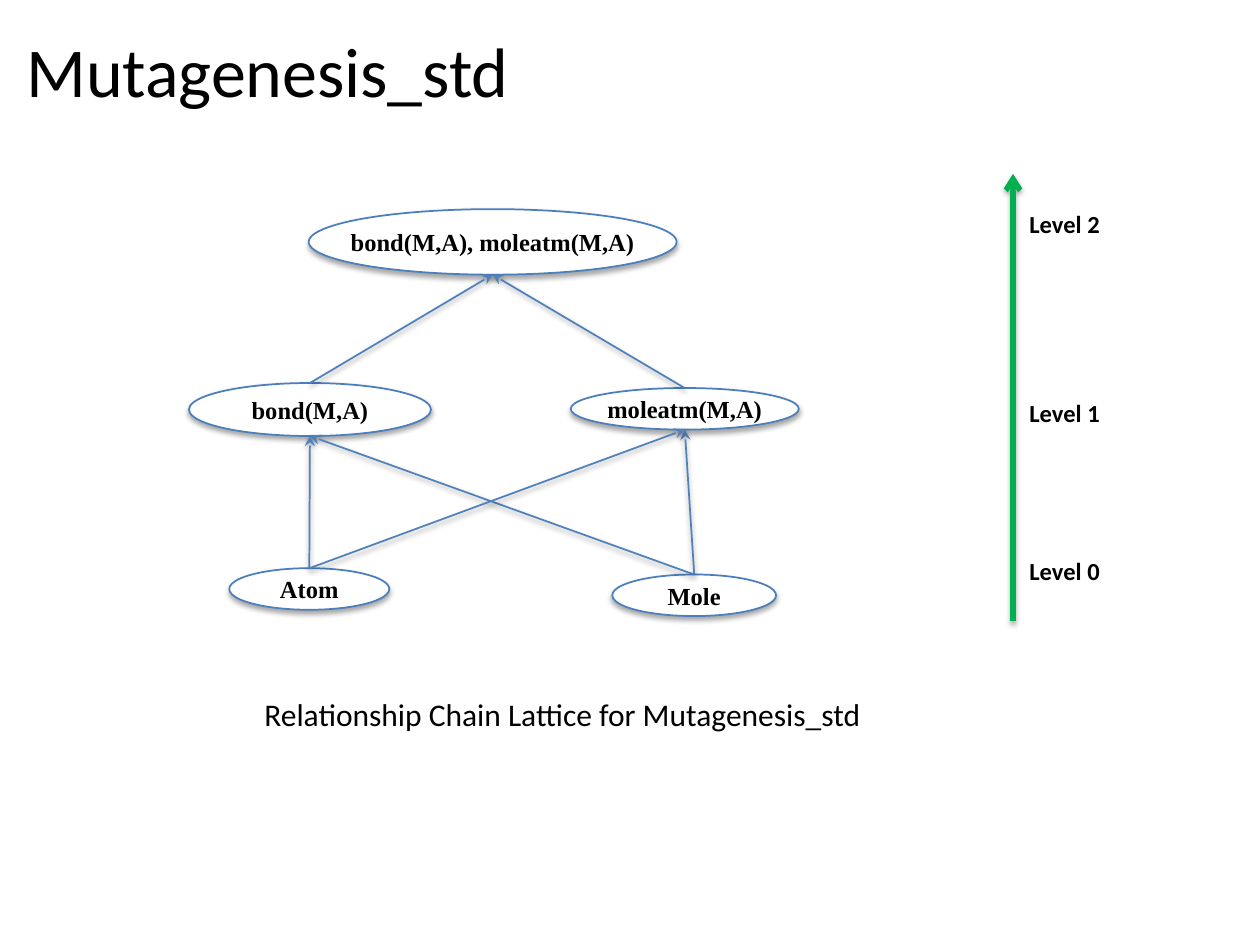
from pptx import Presentation, util as u
from pptx.dml.color import RGBColor
from pptx.enum import shapes, text
from pptx.oxml import parse_xml
from pptx.oxml.ns import nsdecls, qn

BLACK = RGBColor(0x00, 0x00, 0x00)
WHITE = RGBColor(0xFF, 0xFF, 0xFF)
OUTLINE = RGBColor(0x4B, 0x7E, 0xBC)
BLUE = RGBColor(0x4F, 0x81, 0xBD)
GREEN = RGBColor(0x00, 0xB0, 0x50)
SANS, SERIF = "Calibri", "Times New Roman"
COLS, ROWS = 100, 75

# name: (label, left, top, width, height) in grid cells
NODES = {
    "mole": ("Mole", 48.6, 45.6, 13, 3.3),
    "atom": ("Atom", 18.2, 45.1, 12.7, 3.3),
    "bond": ("bond(M,A)", 15, 30.4, 19.2, 4.2),
    "moleatm": ("moleatm(M,A)", 45.3, 30.8, 18.1, 3.3),
    "both": ("bond(M,A), moleatm(M,A)", 24.5, 16.6, 29.2, 5.2),
}
EDGES = [("mole", "bond"), ("atom", "bond"), ("mole", "moleatm"),
         ("bond", "both"), ("moleatm", "both"), ("atom", "moleatm")]
LEVEL_ROWS = [44.1, 31.6, 16.6]


def write(tf, content, size=14, font=SANS, bold=False, align=None, inset=None,
          anchor=text.MSO_ANCHOR.TOP, wrap=True):
    tf.word_wrap = wrap
    tf.vertical_anchor = anchor
    if inset is not None:
        tf.margin_left = tf.margin_right = tf.margin_top = tf.margin_bottom = inset
    p = tf.paragraphs[0]
    p.alignment = align
    r = p.add_run()
    r.text = content
    r.font.name, r.font.size, r.font.bold = font, u.Pt(size), bold
    r.font.color.rgb = BLACK


class Lattice:
    """Draws on one slide; lengths are cells of a COLS by ROWS grid."""

    def __init__(self, prs):
        self.s = prs.slides.add_slide(prs.slide_layouts[6])
        self.col = prs.slide_width / COLS
        self.row = prs.slide_height / ROWS

    def cells(self, x, y):
        return round(x * self.col), round(y * self.row)

    def shadow(self, sp, alpha=35, dist=1.8):
        """Add a soft shadow straight below; call after the line is set."""
        sp._element.spPr.append(parse_xml(
            f'<a:effectLst {nsdecls("a")}><a:outerShdw blurRad="{u.Pt(3.1)}" '
            f'dist="{u.Pt(dist)}" dir="5400000" rotWithShape="0">'
            f'<a:srgbClr val="{BLACK}"><a:alpha val="{alpha * 1000}"/></a:srgbClr>'
            '</a:outerShdw></a:effectLst>'))

    def node(self, label, x, y, w, h):
        sp = self.s.shapes.add_shape(shapes.MSO_SHAPE.OVAL,
                                     *self.cells(x, y), *self.cells(w, h))
        sp.fill.solid()
        sp.fill.fore_color.rgb = WHITE
        sp.line.color.rgb = OUTLINE
        sp.line.width = u.Pt(1)
        self.shadow(sp)
        write(sp.text_frame, label, font=SERIF, bold=True, inset=0, wrap=False,
              align=text.PP_ALIGN.CENTER, anchor=text.MSO_ANCHOR.MIDDLE)

    def arrow(self, start, end, color=BLUE, width=1, head="stealth", **shadow):
        c = self.s.shapes.add_connector(shapes.MSO_CONNECTOR.STRAIGHT,
                                        *self.cells(*start), *self.cells(*end))
        c.line.color.rgb = color
        c.line.width = u.Pt(width)
        ln = c._element.spPr.find(qn("a:ln"))
        ln.append(parse_xml(f'<a:tailEnd {nsdecls("a")} type="{head}"/>'))
        self.shadow(c, **shadow)

    def edge(self, lower, upper):
        """Link the top of the lower node to the bottom of the upper one."""
        _, x1, y1, w1, _ = NODES[lower]
        _, x2, y2, w2, h2 = NODES[upper]
        self.arrow((x1 + w1 / 2, y1), (x2 + w2 / 2, y2 + h2), alpha=38, dist=1.6)

    def label(self, content, x, y, w, h, **style):
        tb = self.s.shapes.add_textbox(*self.cells(x, y), *self.cells(w, h))
        write(tb.text_frame, content, **style)


def main():
    prs = Presentation()
    prs.slide_width, prs.slide_height = u.Inches(10), u.Inches(7.5)
    lattice = Lattice(prs)
    for node in NODES.values():
        lattice.node(*node)
    for lower, upper in EDGES:
        lattice.edge(lower, upper)
    lattice.arrow((80.4, 49.3), (80.4, 13.8), color=GREEN, width=3, head="arrow")
    for level, y in enumerate(LEVEL_ROWS):
        lattice.label(f"Level {level}", 81.7, y, 7.4, 3, bold=True, inset=0)
    lattice.label("Relationship Chain Lattice for Mutagenesis_std",
                  20, 54.7, 53.4, 4, size=18)
    lattice.label("Mutagenesis_std", 1.1, 1.7, 42.2, 7.7, size=40)
    prs.save("out.pptx")


if __name__ == "__main__":
    main()
